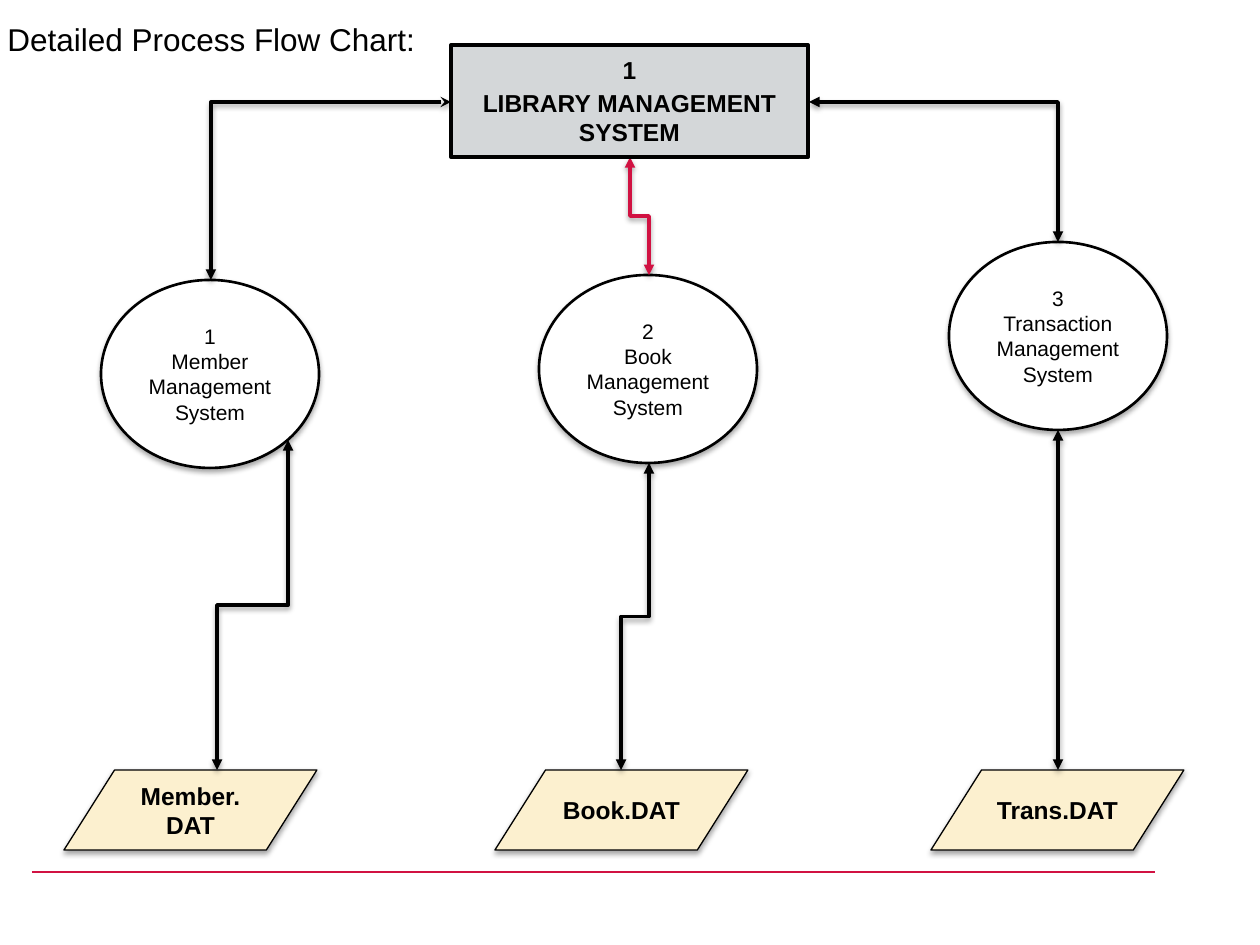
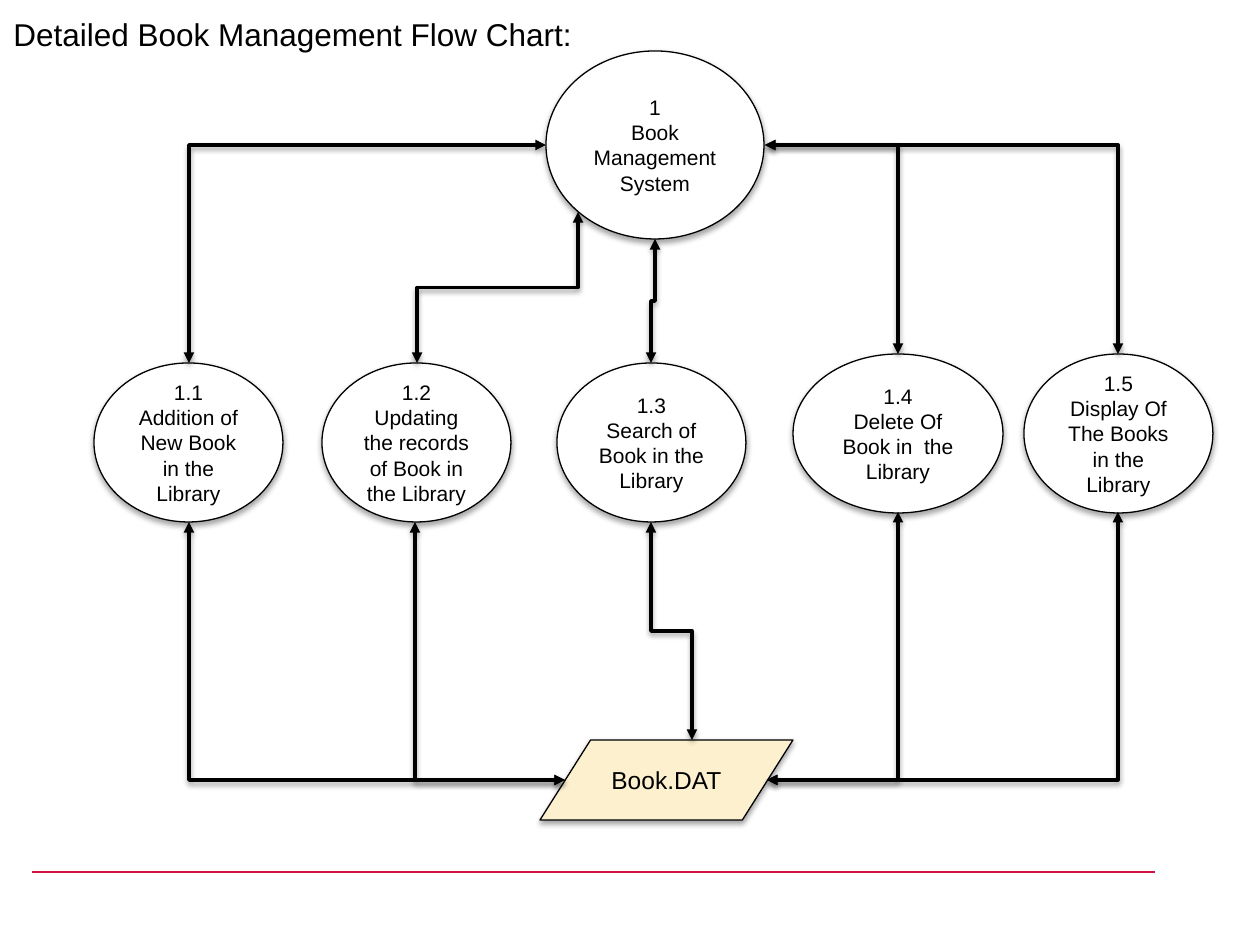
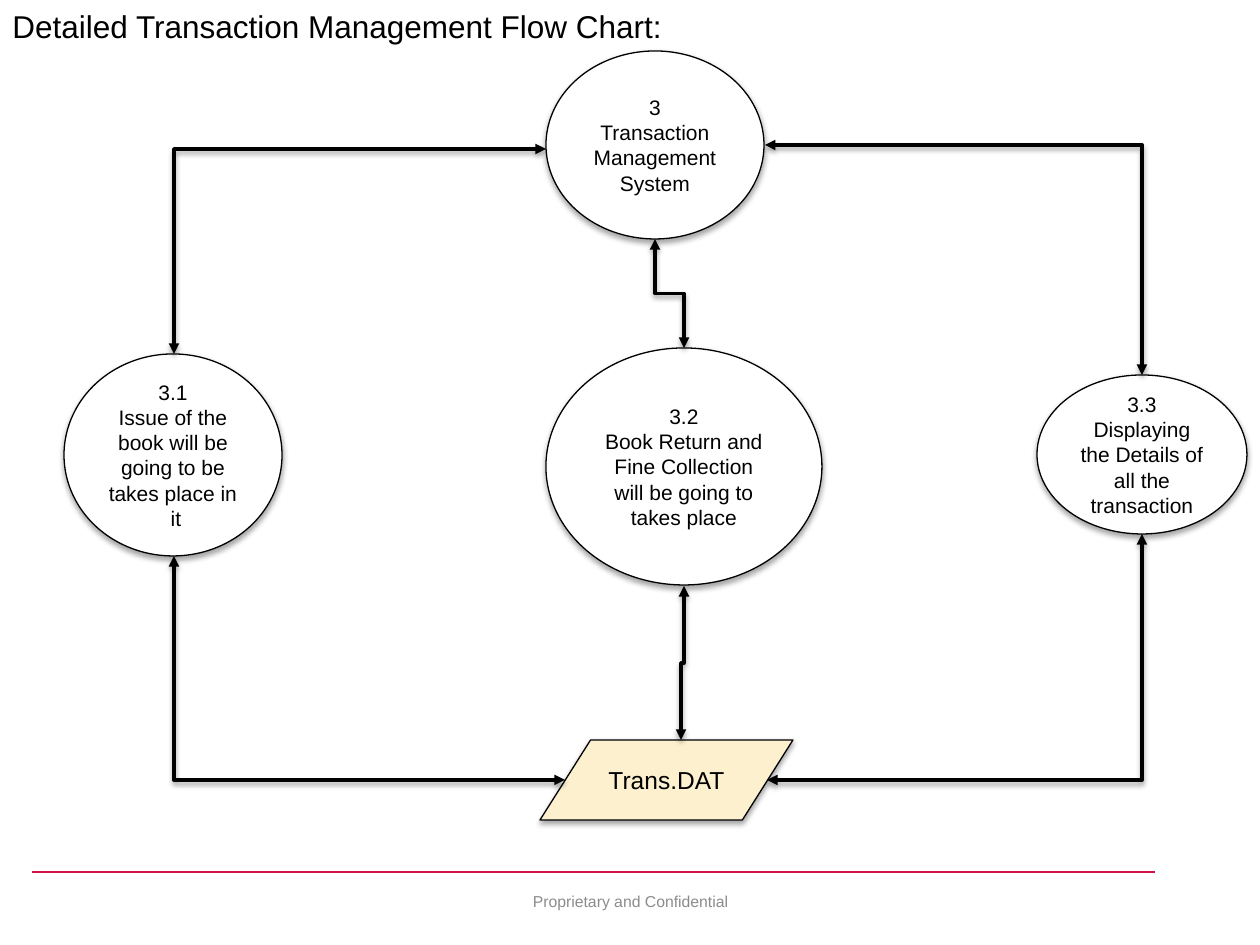
"""Build three library system flow charts and save them as a presentation."""
from lxml import etree
from pptx import Presentation
from pptx.dml import color as dml
from pptx.enum import shapes, text
from pptx.oxml import ns
from pptx.util import Pt

PX = 914400 // 126
BLACK, WHITE, RED, CREAM, SILVER, GRAY = "000000", "FFFFFF", "D11242", "FCF0CF", "D4D7D9", "8C8C8C"
FONT = "Arial"
paint = dml.RGBColor.from_string


def outline(shape, line_color, width, shadow_alpha=0, heads=()):
    """Set line, arrowheads and shadow of a shape or connector."""
    shape.line.color.rgb = paint(line_color)
    shape.line.width = Pt(width)
    properties = shape._element.spPr
    for tag, head in zip(("a:headEnd", "a:tailEnd"), heads):
        etree.SubElement(properties.find(ns.qn("a:ln")), ns.qn(tag), type=head)
    effects = etree.SubElement(properties, ns.qn("a:effectLst"))
    if shadow_alpha:
        shadow = etree.SubElement(effects, ns.qn("a:outerShdw"), blurRad="40000", dist="21500",
                                  dir="5400000", rotWithShape="0")
        tint = etree.SubElement(shadow, ns.qn("a:srgbClr"), val=BLACK)
        etree.SubElement(tint, ns.qn("a:alpha"), val=str(shadow_alpha * 1000))


def write(shape, lines, size, bold=False, font_color=BLACK, align=text.PP_ALIGN.CENTER, gap=0):
    """Write one paragraph per line, centred vertically."""
    frame = shape.text_frame
    frame.word_wrap = True
    frame.vertical_anchor = text.MSO_ANCHOR.MIDDLE
    frame.text = "\n".join(lines)
    for paragraph in frame.paragraphs:
        paragraph.alignment = align
        paragraph.space_after = Pt(gap)
        paragraph.font.name = FONT
        paragraph.font.size = Pt(size)
        paragraph.font.bold = bold
        paragraph.font.color.rgb = paint(font_color)


charts = [
    {
        "title": ("Detailed Process Flow Chart:", -5, 4, 919, 69),
        "circle_line": 1.5,
        "bold_files": True,
        "files": [(64, 770, "Member. DAT"), (495, 770, "Book.DAT"), (931, 770, "Trans.DAT")],
        "circles": [
            (101, 280, 218, 188, ["1", "Member", "Management System"]),
            (539, 275, 218, 188, ["2", "Book Management System"]),
            (949, 242, 218, 188, ["3", "Transaction", "Management System"]),
        ],
        "corners": [(451, 102, 211, 280, "stealth"), (809, 102, 1058, 242, "triangle")],
        "steps": [
            (630, 157, 649, 275, RED),
            (288, 440, 217, 770, BLACK),
            (649, 463, 621, 770, BLACK),
            (1058, 430, 1058, 770, BLACK),
        ],
    },
    {
        "title": ("Detailed Book Management Flow Chart:", 1, 9, 590, 50),
        "circle_line": 0.75,
        "bold_files": False,
        "files": [(540, 740, "Book.DAT")],
        "circles": [
            (546, 51, 218, 188, ["1", "Book Management", "System"]),
            (94, 363, 189, 159, ["1.1", "Addition of New Book in the Library"]),
            (322, 363, 189, 159, ["1.2", "Updating the records of Book in the Library"]),
            (557, 363, 189, 159, ["1.3", "Search of Book in the Library"]),
            (793, 354, 210, 159, ["1.4", "Delete Of Book in  the Library"]),
            (1024, 354, 189, 159, ["1.5", "Display Of The Books in the Library"]),
        ],
        "corners": [
            (546, 145, 189, 363, "triangle"),
            (765, 145, 898, 354, "triangle"),
            (765, 145, 1118, 354, "triangle"),
            (565, 780, 189, 522, "triangle"),
            (565, 780, 415, 522, "triangle"),
            (767, 780, 898, 512, "triangle"),
            (767, 780, 1118, 512, "triangle"),
        ],
        "steps": [
            (578, 212, 417, 363, BLACK),
            (655, 239, 651, 363, BLACK),
            (651, 522, 692, 740, BLACK),
        ],
    },
    {
        "title": ("Detailed Transaction Management Flow Chart:", 0, 1, 682, 50),
        "circle_line": 0.75,
        "bold_files": False,
        "files": [(540, 740, "Trans.DAT")],
        "circles": [
            (546, 51, 218, 188, ["3", "Transaction", "Management", "System"]),
            (64, 354, 218, 202, ["3.1", "Issue of the book will be going to be takes place in  it"]),
            (546, 348, 276, 237, ["3.2", "Book Return and Fine Collection will be going to takes place"]),
            (1037, 375, 210, 159, ["3.3", "Displaying the Details of all the transaction"]),
        ],
        "corners": [
            (546, 149, 174, 354, "triangle"),
            (765, 145, 1142, 375, "triangle"),
            (565, 780, 174, 556, "triangle"),
            (767, 780, 1142, 534, "triangle"),
        ],
        "steps": [(655, 239, 684, 348, BLACK), (684, 586, 681, 740, BLACK)],
    },
]

presentation = Presentation()
presentation.slide_width = 1260 * PX
presentation.slide_height = 945 * PX

for chart in charts:
    slide = presentation.slides.add_slide(presentation.slide_layouts[6])
    canvas = slide.shapes

    footer_line = canvas.add_connector(shapes.MSO_CONNECTOR.STRAIGHT, 32 * PX, 872 * PX, 1155 * PX, 872 * PX)
    outline(footer_line, RED, 0.75)

    title, *box = chart["title"]
    write(canvas.add_textbox(*(n * PX for n in box)), [title], 18, align=text.PP_ALIGN.LEFT)

    nodes = [(shapes.MSO_SHAPE.FLOWCHART_DATA, left, top, 253, 80, [name], CREAM, 0.75, 14, chart["bold_files"])
             for left, top, name in chart["files"]]
    nodes += [(shapes.MSO_SHAPE.OVAL, *circle, WHITE, chart["circle_line"], 12, False)
              for circle in chart["circles"]]
    for kind, left, top, width, height, lines, fill, line_width, size, bold in nodes:
        node = canvas.add_shape(kind, left * PX, top * PX, width * PX, height * PX)
        node.fill.solid()
        node.fill.fore_color.rgb = paint(fill)
        outline(node, BLACK, line_width, 35)
        write(node, lines, size, bold)

    for x1, y1, x2, y2, head in chart["corners"]:
        corner = canvas.add_connector(shapes.MSO_CONNECTOR.ELBOW, x1 * PX, y1 * PX, x2 * PX, y2 * PX)
        corner._element.spPr.find(ns.qn("a:prstGeom")).set("prst", "bentConnector2")
        outline(corner, BLACK, 2, 38, (head, "triangle"))

    for x1, y1, x2, y2, line_color in chart["steps"]:
        middle_x, middle_y = (x1 + x2) * PX // 2, (y1 + y2) * PX // 2
        half_width, half_height = (y2 - y1) * PX // 2, (x1 - x2) * PX // 2
        step = canvas.add_connector(shapes.MSO_CONNECTOR.ELBOW, middle_x - half_width, middle_y - half_height,
                                    middle_x + half_width, middle_y + half_height)
        step._element.spPr.find(ns.qn("a:xfrm")).set("rot", "5400000")
        outline(step, line_color, 2, 38, ("triangle", "triangle"))

first, _, last = presentation.slides

system = first.shapes.add_shape(shapes.MSO_SHAPE.FLOWCHART_PROCESS, 451 * PX, 45 * PX, 357 * PX, 112 * PX)
system.fill.solid()
system.fill.fore_color.rgb = paint(SILVER)
outline(system, BLACK, 2.25)
write(system, ["1", "LIBRARY MANAGEMENT SYSTEM"], 14, bold=True, gap=2)

footer = last.shapes.add_textbox(431 * PX, 876 * PX, 399 * PX, 50 * PX)
write(footer, ["Proprietary and Confidential"], 9, font_color=GRAY)

presentation.save("out.pptx")
